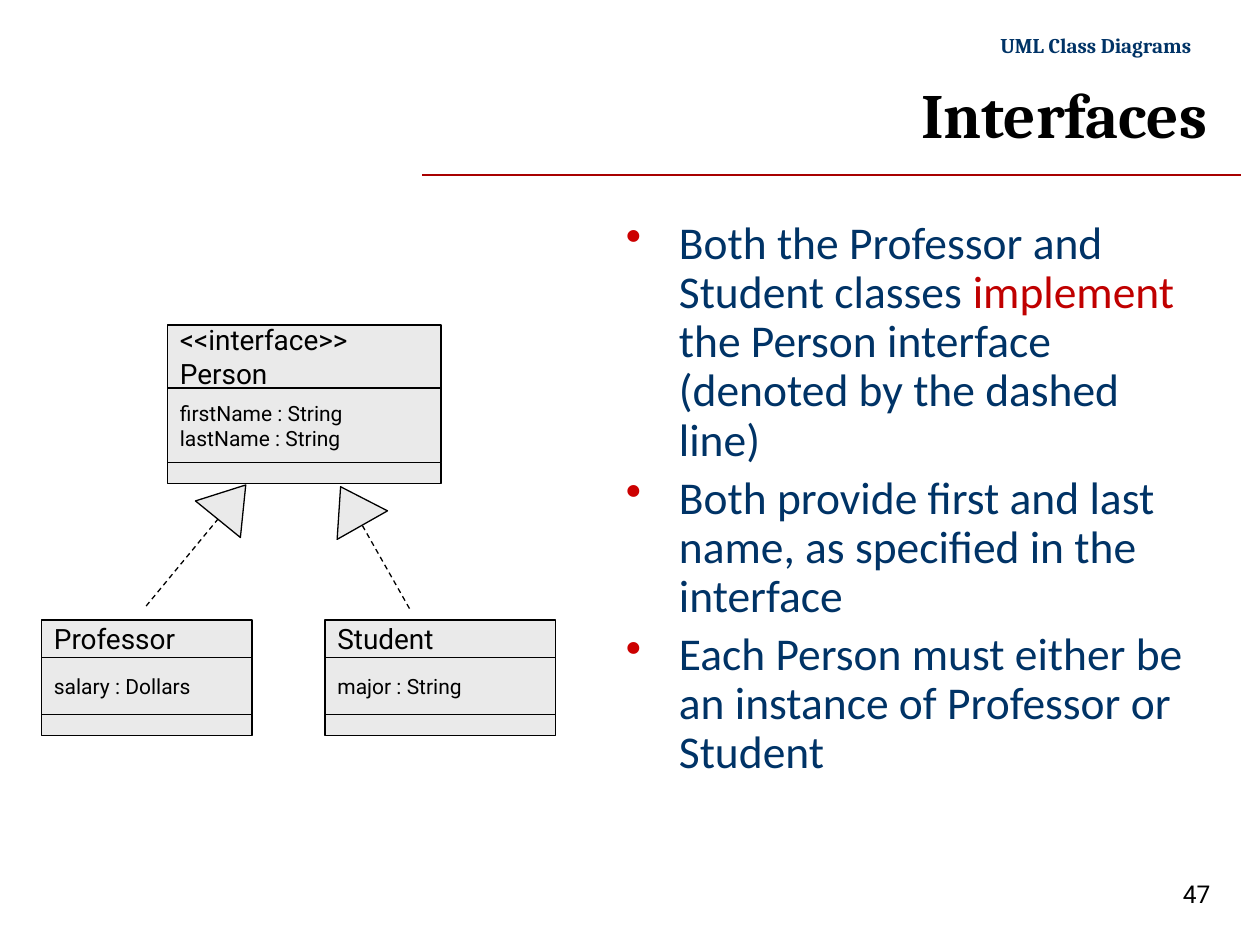
"""Build the slide on UML interfaces with its class diagram and bullets."""
from typing import NamedTuple

from lxml import etree
from pptx import Presentation
from pptx.dml.color import RGBColor
from pptx.enum.dml import MSO_LINE
from pptx.enum.shapes import MSO_CONNECTOR, MSO_SHAPE
from pptx.enum.text import MSO_ANCHOR, PP_ALIGN
from pptx.oxml.ns import qn
from pptx.util import Emu, Pt

EMU_PER_PX = 9144
RECTANGLE, TRIANGLE = MSO_SHAPE.RECTANGLE, MSO_SHAPE.ISOSCELES_TRIANGLE
STRAIGHT, DASH = MSO_CONNECTOR.STRAIGHT, MSO_LINE.DASH
TOP, MIDDLE = MSO_ANCHOR.TOP, MSO_ANCHOR.MIDDLE
LEFT, RIGHT = PP_ALIGN.LEFT, PP_ALIGN.RIGHT
BLACK, NAVY, GREY = "000000", "003366", "EAEAEA"
RULE_RED, BULLET_RED, TEXT_RED = "A80000", "CC0000", "C00000"


class Span(NamedTuple):
    text: str
    color: str


class ClassBox(NamedTuple):
    left: int
    top: int
    width: int
    name: str
    name_height: int
    fields: str
    fields_height: int


class Realization(NamedTuple):
    start: tuple[int, int]
    end: tuple[int, int]
    head_left: int
    head_top: int
    rotation: float


CLASSES = [
    ClassBox(133, 258, 217, "<<interface>>\nPerson", 50, "firstName : String\nlastName : String", 59),
    ClassBox(33, 492, 167, "Professor", 30, "salary : Dollars", 45),
    ClassBox(258, 492, 183, "Student", 30, "major : String", 45),
]
OPERATIONS_HEIGHT = 17

REALIZATIONS = [
    Realization((116, 481), (173, 412), 161, 381, 39.1),
    Realization((325, 483), (287, 416), 256, 384, 330.5),
]

BULLETS = [
    [
        Span("Both the Professor and Student classes ", NAVY),
        Span("implement ", TEXT_RED),
        Span("the Person interface (denoted by the dashed line)", NAVY),
    ],
    [Span("Both provide first and last name, as specified in the interface", NAVY)],
    [Span("Each Person must either be an instance of Professor or Student", NAVY)],
]


def px(length: int) -> Emu:
    return Emu(length * EMU_PER_PX)


def rgb(color: str) -> RGBColor:
    return RGBColor.from_string(color)


def add_bullet(para) -> None:
    properties = para._p.get_or_add_pPr()
    properties.set("marL", str(px(42)))
    properties.set("indent", str(px(-42)))
    color = etree.SubElement(properties, qn("a:buClr"))
    etree.SubElement(color, qn("a:srgbClr"), val=BULLET_RED)
    etree.SubElement(properties, qn("a:buChar"), char="•")


def write_text(box, text, *, size, font="Roboto", color=BLACK, bold=False,
               align=LEFT, anchor=TOP, wrap=False, bullets=False) -> None:
    """Fill a box with text given as a string or as a list of span lists."""
    if isinstance(text, str):
        text = [[Span(line, color)] for line in text.split("\n")]
    frame = box.text_frame
    frame.word_wrap = wrap
    frame.vertical_anchor = anchor
    for index, spans in enumerate(text):
        para = frame.add_paragraph() if index else frame.paragraphs[0]
        para.alignment = align
        if bullets:
            add_bullet(para)
            para.line_spacing = 0.9
            if index:
                para.space_before = Pt(5.2)
        for span in spans:
            run = para.add_run()
            run.text = span.text
            run.font.name = font
            run.font.size = Pt(size)
            run.font.bold = bold
            run.font.color.rgb = rgb(span.color)


def add_text(page, left: int, top: int, width: int, height: int, text, **style) -> None:
    box = page.shapes.add_textbox(px(left), px(top), px(width), px(height))
    write_text(box, text, **style)


def add_outlined(shapes, kind, left: int, top: int, width: int, height: int):
    shape = shapes.add_shape(kind, px(left), px(top), px(width), px(height))
    shape.shadow.inherit = False
    shape.fill.solid()
    shape.fill.fore_color.rgb = rgb(GREY)
    shape.line.color.rgb = rgb(BLACK)
    shape.line.width = Pt(0.75)
    return shape


def add_line(shapes, start: tuple[int, int], end: tuple[int, int], color: str, dash=None) -> None:
    line = shapes.add_connector(STRAIGHT, *map(px, start + end))
    line.line.color.rgb = rgb(color)
    line.line.width = Pt(0.75)
    if dash:
        line.line.dash_style = dash
    etree.SubElement(line._element.spPr, qn("a:effectLst"))


def draw_class(page, item: ClassBox) -> None:
    shapes = page.shapes.add_group_shape().shapes
    top = item.top
    sections = [
        (item.name, item.name_height, 16),
        (item.fields, item.fields_height, 12),
        ("", OPERATIONS_HEIGHT, 12),
    ]
    for text, height, size in sections:
        section = add_outlined(shapes, RECTANGLE, item.left, top, item.width, height)
        if text:
            write_text(section, text, size=size, anchor=MIDDLE)
        top += height


def draw_realization(page, item: Realization) -> None:
    shapes = page.shapes.add_group_shape().shapes
    head = add_outlined(shapes, TRIANGLE, item.head_left, item.head_top, 46, 35)
    head.rotation = item.rotation
    add_line(shapes, item.start, item.end, BLACK, DASH)


def main() -> None:
    deck = Presentation()
    deck.slide_width, deck.slide_height = px(1000), px(750)
    page = deck.slides.add_slide(deck.slide_layouts[6])
    add_line(page.shapes, (335, 139), (985, 139), RULE_RED)
    add_text(page, 780, 21, 179, 30, "UML Class Diagrams ", size=12, font="Cambria",
             color=NAVY, bold=True, align=RIGHT)
    add_text(page, 929, 693, 71, 34, "47", size=14, wrap=True)
    add_text(page, 201, 52, 767, 75, "Interfaces", size=36, font="Cambria",
             bold=True, align=RIGHT, anchor=MIDDLE, wrap=True)
    add_text(page, 487, 170, 467, 483, BULLETS, size=26, font="Calibri",
             wrap=True, bullets=True)
    for item in CLASSES:
        draw_class(page, item)
    for item in REALIZATIONS:
        draw_realization(page, item)
    deck.save("out.pptx")


if __name__ == "__main__":
    main()
